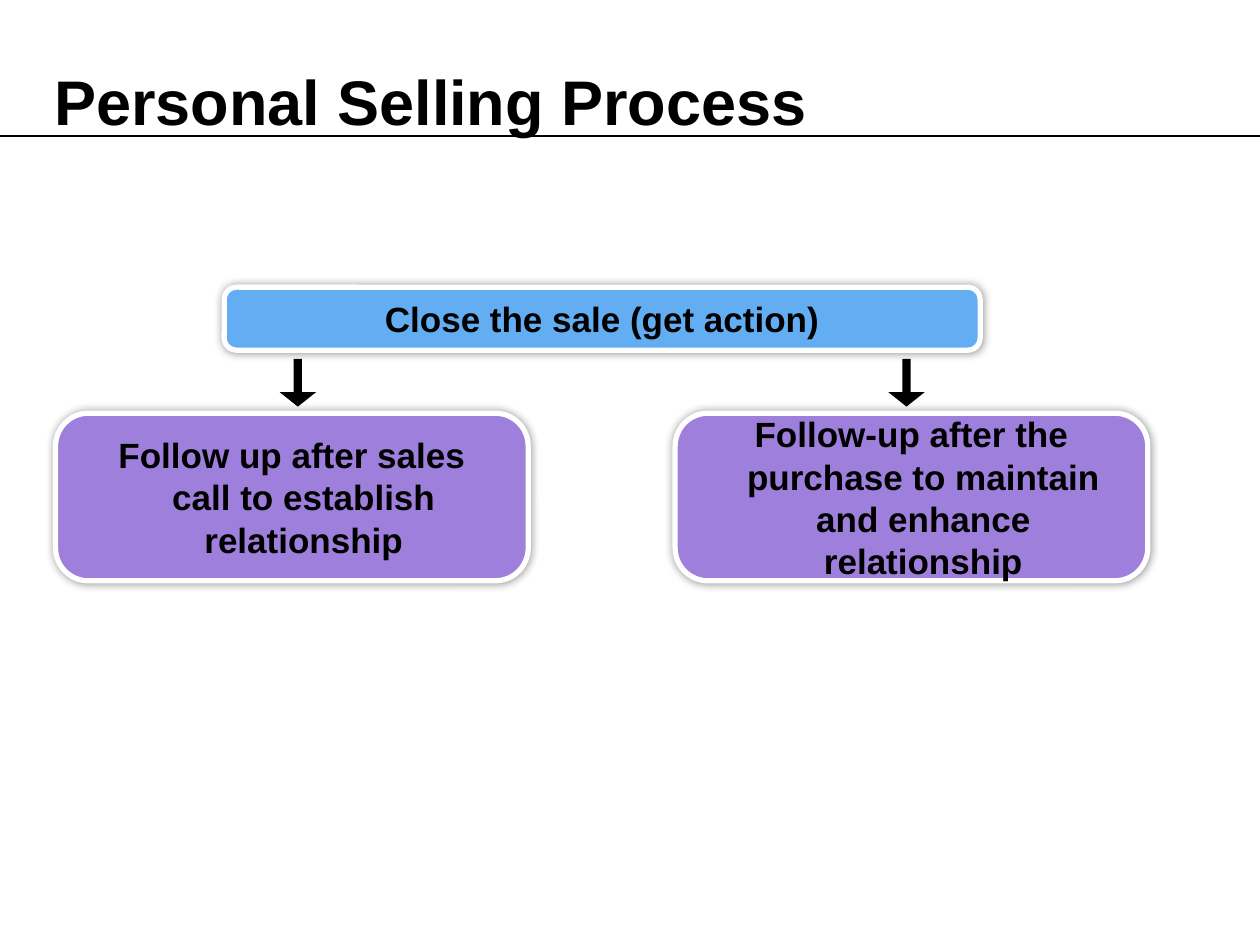
from lxml import etree
from pptx import Presentation
from pptx.dml.color import RGBColor
from pptx.enum.shapes import MSO_CONNECTOR, MSO_SHAPE
from pptx.enum.text import MSO_ANCHOR, MSO_AUTO_SIZE, PP_ALIGN
from pptx.oxml.ns import qn
from pptx.util import Cm, Pt

ROUNDED = MSO_SHAPE.ROUNDED_RECTANGLE
DOWN_ARROW = MSO_SHAPE.DOWN_ARROW
STRAIGHT = MSO_CONNECTOR.STRAIGHT
MIDDLE = MSO_ANCHOR.MIDDLE
LEFT, CENTER = PP_ALIGN.LEFT, PP_ALIGN.CENTER
NO_FIT = MSO_AUTO_SIZE.NONE

TITLE = "Personal Selling Process"
CLOSE_STEP = "Close the sale (get action)"
# text, left of the box, left of the arrow above it (cm)
FOLLOW_UPS = [
    ("Follow up after sales call to establish relationship", 1.12, 5.79),
    ("Follow-up after the purchase to maintain and enhance relationship", 13.61, 18.06),
]
COLORS = {"ink": "000000", "edge": "FFFFFF", "close": "63AEF3", "follow": "9E7FDB"}
FONT = "Arial"
SLIDE_W, SLIDE_H = 25.4, 19.05
RULE_Y = 2.74
CLOSE_BOX = (4.52, 5.79, 15.24, 1.27)
FOLLOW_TOP, FOLLOW_W, FOLLOW_H = 8.33, 9.53, 3.38
ARROW_TOP, ARROW_W, ARROW_H = 7.29, 0.43, 0.84
INDENT = 0.48


def rgb(name):
    return RGBColor.from_string(COLORS[name])


def style_text(tf, size, align):
    tf.word_wrap = True
    tf.auto_size = NO_FIT
    tf.vertical_anchor = MIDDLE
    p = tf.paragraphs[0]
    p.alignment = align
    font = p.runs[0].font
    font.name, font.size, font.bold = FONT, Pt(size), True
    font.color.rgb = rgb("ink")


def add_block(s, kind, box, fill, edge, adjustments):
    sp = s.shapes.add_shape(kind, *map(Cm, box))
    for i, value in enumerate(adjustments):
        sp.adjustments[i] = value
    sp.fill.solid()
    sp.fill.fore_color.rgb = rgb(fill)
    sp.line.color.rgb = rgb(edge)
    sp.line.width = Pt(3)
    sp.shadow.inherit = False
    return sp


def add_glow_shadow(sp):
    """Give the shape a soft, centred shadow on all sides."""
    effects = sp._element.spPr.find(qn("a:effectLst"))
    shadow = etree.SubElement(effects, qn("a:outerShdw"), blurRad=str(Pt(5)),
                              dist="0", dir="0", algn="ctr", rotWithShape="0")
    color = etree.SubElement(shadow, qn("a:srgbClr"), val=COLORS["ink"])
    etree.SubElement(color, qn("a:alpha"), val="40000")


def add_step(s, text, box, fill):
    sp = add_block(s, ROUNDED, box, fill, "edge", [0.196])
    add_glow_shadow(sp)
    tf = sp.text_frame
    tf.text = text
    tf.margin_left = tf.margin_right = Cm(0.76)
    tf.margin_top = tf.margin_bottom = Cm(0.13)
    style_text(tf, 20, CENTER)
    pPr = tf.paragraphs[0]._p.get_or_add_pPr()
    pPr.set("marL", str(Cm(INDENT)))
    pPr.set("indent", str(-Cm(INDENT)))


def add_arrow(s, left):
    sp = add_block(s, DOWN_ARROW, (left, ARROW_TOP, ARROW_W, ARROW_H),
                   "ink", "ink", [0.139, 0.396])
    etree.SubElement(sp.line._get_or_add_ln(), qn("a:miter"), lim="800000")


def add_title(s):
    title = s.shapes.title
    title.left, title.top, title.width, title.height = map(Cm, (0.84, 0.86, 24.56, 2.34))
    title.text_frame.text = TITLE
    style_text(title.text_frame, 36, LEFT)
    rule = s.shapes.add_connector(STRAIGHT, 0, Cm(RULE_Y), Cm(SLIDE_W), Cm(RULE_Y))
    rule.line.color.rgb = rgb("ink")
    rule.line.width = Pt(0.75)
    etree.SubElement(rule._element.spPr, qn("a:effectLst"))


def main():
    prs = Presentation()
    prs.slide_width, prs.slide_height = Cm(SLIDE_W), Cm(SLIDE_H)
    s = prs.slides.add_slide(prs.slide_layouts[5])
    add_title(s)
    add_step(s, CLOSE_STEP, CLOSE_BOX, "close")
    for text, left, arrow_left in FOLLOW_UPS:
        add_arrow(s, arrow_left)
        add_step(s, text, (left, FOLLOW_TOP, FOLLOW_W, FOLLOW_H), "follow")
    prs.save("out.pptx")


if __name__ == "__main__":
    main()
